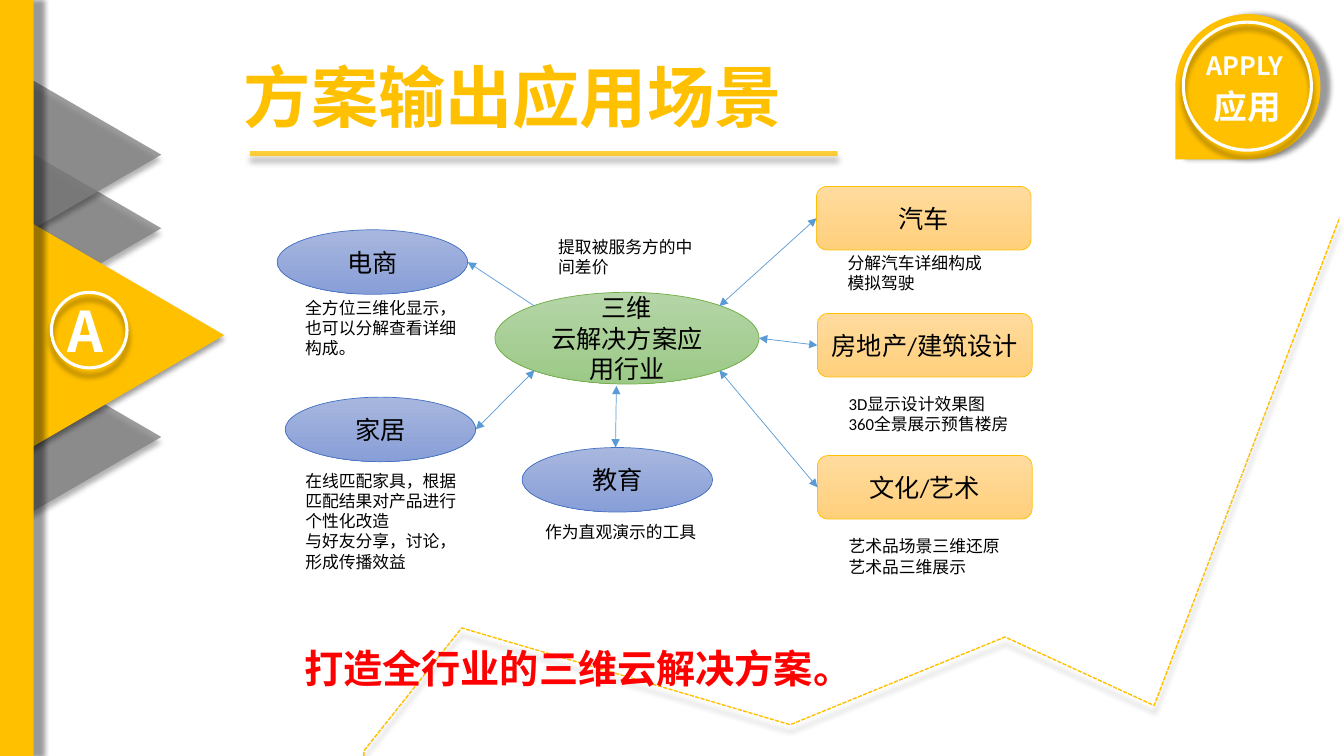
from lxml import etree
from pptx import Presentation
from pptx.dml.color import RGBColor
from pptx.enum.dml import MSO_LINE
from pptx.enum.shapes import MSO_CONNECTOR, MSO_SHAPE
from pptx.enum.text import MSO_ANCHOR, MSO_AUTO_SIZE, PP_ALIGN
from pptx.oxml.ns import qn
from pptx.util import Emu, Inches, Pt

ELLIPSE, RECTANGLE = MSO_SHAPE.OVAL, MSO_SHAPE.RECTANGLE
ROUNDED, TRIANGLE, TEAR = MSO_SHAPE.ROUNDED_RECTANGLE, MSO_SHAPE.ISOSCELES_TRIANGLE, MSO_SHAPE.TEAR
STRAIGHT, DASH = MSO_CONNECTOR.STRAIGHT, MSO_LINE.SQUARE_DOT
TOP, MIDDLE, NO_FIT = MSO_ANCHOR.TOP, MSO_ANCHOR.MIDDLE, MSO_AUTO_SIZE.NONE
LEFT, CENTER = PP_ALIGN.LEFT, PP_ALIGN.CENTER
LEFT_SIDE = 1

COLORS = {"gold": "FFC000", "gray": "808080", "white": "FFFFFF", "black": "000000",
          "red": "FF0000", "arrow": "5B9BD5"}
HEADING_FONT, BODY_FONT = "Noto Sans CJK SC", "Calibri"

# Content; places and sizes are in cells of a grid 40 columns wide and 22.5 rows high
COLUMNS, ROWS = 40, 22.5
TITLE = ("方案输出应用场景", (6.96, 1.5, 16.77, 2.73), 48, "gold")
HEADINGS = [
    ("APPLY", (35.61, 1.35, 3.03, 1.2), 18, "white"),
    ("应用", (35.82, 2.4, 2.64, 1.5), 24, "white"),
    ("A", (1.71, 8.67, 1.86, 2.31), 40, "white"),
    ("打造全行业的三维云解决方案。", (8.76, 19.02, 19.11, 3.12), 28, "red"),
]
# Shape, place, rotation, fill, opacity, shadow distance, shadow direction
GRAY_ARROW_TOPS = [10.92, 4.71, 2.52]
DECORATIONS = [
    *[(TRIANGLE, (0.3, top, 4.83, 4.17), 90, "gray", 77, 4, 90) for top in GRAY_ARROW_TOPS],
    (TEAR, (34.98, 0.42, 4.32, 4.32), 180, "gold", 100, 7, 0),
    (RECTANGLE, (7.44, 4.5, 17.49, 0.15), 0, "gold", 77, 4, 90),
    (TRIANGLE, (0.15, 6.96, 7.02, 6.03), 90, "gold", 100, 3, 90),
    (RECTANGLE, (0, 0, 1, ROWS), 0, "gold", 100, 7, 0),
]
RINGS = [(35.22, 0.66, 3.81, 3.81), (1.53, 8.7, 2.25, 2.25)]
ZIGZAG = [(10.83, 22.5), (10.83, 22.35), (13.74, 18.69), (23.52, 21.57),
          (29.91, 18.96), (34.35, 21), (39.87, 6.48)]
# Shape, size, gradient from and to, outline
NODE_KINDS = {
    "hub": (ELLIPSE, (7.86, 2.73), "B5D5A7", "9CC987", "70AD47"),
    "service": (ELLIPSE, (5.67, 1.92), "A8B7DF", "889ED7", "4472C4"),
    "industry": (ROUNDED, (6.39, 1.89), "FFDB9E", "FFD07C", "FFC000"),
}
NODES = {
    "hub": ("hub", (14.73, 8.7), ["三维", "云解决方案应用行业"]),
    "car": ("industry", (24.3, 5.55), ["汽车"]),
    "building": ("industry", (24.33, 9.33), ["房地产/建筑设计"]),
    "culture": ("industry", (24.33, 13.56), ["文化/艺术"]),
    "shop": ("service", (8.25, 6.84), ["电商"]),
    "home": ("service", (8.49, 11.82), ["家居"]),
    "school": ("service", (15.54, 13.32), ["教育"]),
}
NOTES = [
    ((8.79, 8.7, 5.4, 2.73), ["全方位三维化显示，也可以分解查看详细构成。"]),
    ((24.93, 7.38, 4.65, 1.5), ["分解汽车详细构成", "模拟驾驶"]),
    ((24.96, 11.58, 5.43, 1.5), ["3D显示设计效果图", "360全景展示预售楼房"]),
    ((16.32, 6.9, 4.68, 1.5), ["提取被服务方的中间差价"]),
    ((24.96, 15.81, 5.16, 2.13), ["艺术品场景三维还原", "艺术品三维展示"]),
    ((15.93, 15.39, 5.16, 1.5), ["作为直观演示的工具"]),
    ((8.79, 13.86, 5.13, 4.53),
     ["在线匹配家具，根据匹配结果对产品进行个性化改造", "与好友分享，讨论，形成传播效益"]),
]
# Node, its end point, hub end point (both as shares of the shape), arrow also at the hub
NEAR, FAR = 0.15, 0.85
ARROWS = [
    ("shop", (1, 0.5), (NEAR, NEAR), False),
    ("home", (1, 0.5), (NEAR, FAR), True),
    ("building", (0, 0.5), (1, 0.5), True),
    ("car", (0, 0.5), (FAR, NEAR), True),
    ("culture", (0, 0.5), (FAR, FAR), True),
    ("school", (0.49, 0), (0.46, 1.02), True),
]

presentation = Presentation()
presentation.slide_width, presentation.slide_height = Inches(13.333), Inches(7.5)
CELL_WIDTH = presentation.slide_width / COLUMNS
CELL_HEIGHT = presentation.slide_height / ROWS
slide = presentation.slides.add_slide(presentation.slide_layouts[5])
shapes = slide.shapes


def cells(*values):
    """Turn alternating columns and rows into lengths."""
    return [Emu(round(value * (CELL_HEIGHT if index % 2 else CELL_WIDTH)))
            for index, value in enumerate(values)]


def rgb(name):
    return RGBColor.from_string(COLORS.get(name, name))


def write(shape, lines, size, color, font, bold=False, align=LEFT, anchor=TOP):
    frame = shape.text_frame
    frame.auto_size, frame.word_wrap, frame.vertical_anchor = NO_FIT, True, anchor
    frame.text = "\n".join(lines)
    for paragraph in frame.paragraphs:
        paragraph.alignment = align
        for run in paragraph.runs:
            for key, value in {"size": Pt(size), "bold": bold, "name": font}.items():
                setattr(run.font, key, value)
            run.font.color.rgb = rgb(color)
            east_asian = etree.Element(qn("a:ea"), typeface=HEADING_FONT)
            run.font._element.find(qn("a:latin")).addnext(east_asian)


def outline(shape, color, width):
    shape.line.color.rgb = rgb(color)
    shape.line.width = Pt(width)


def cast_shadow(shape, distance, direction):
    shape.shadow.inherit = False
    effects = shape._element.spPr.find(qn("a:effectLst"))
    shadow = etree.SubElement(effects, qn("a:outerShdw"), blurRad=str(Pt(4)), dist=str(Pt(distance)),
                              dir=str(direction * 60000), algn="ctr", rotWithShape="0")
    color = etree.SubElement(shadow, qn("a:srgbClr"), val=COLORS["black"])
    etree.SubElement(color, qn("a:alpha"), val="40000")


# Title
write(shapes.title, [TITLE[0]], TITLE[2], TITLE[3], HEADING_FONT, bold=True)
for side, length in zip(("left", "top", "width", "height"), cells(*TITLE[1])):
    setattr(shapes.title, side, length)

# Side bar, arrows, badge and title underline
for kind, place, rotation, color, opacity, distance, direction in DECORATIONS:
    decoration = shapes.add_shape(kind, *cells(*place))
    decoration.rotation = rotation
    decoration.fill.solid()
    decoration.fill.fore_color.rgb = rgb(color)
    decoration.line.fill.background()
    if opacity < 100:
        fill_color = decoration._element.spPr.find(qn("a:solidFill"))[0]
        etree.SubElement(fill_color, qn("a:alpha"), val=str(opacity * 1000))
    cast_shadow(decoration, distance, direction)

# Dashed zigzag
points = [cells(*point) for point in ZIGZAG]
builder = shapes.build_freeform(*points[0])
builder.add_line_segments(points[1:], close=False)
zigzag = builder.convert_to_shape()
zigzag.fill.background()
outline(zigzag, "gold", 1)
zigzag.line.dash_style = DASH
cast_shadow(zigzag, 5, 90)

# White rings and bold headings
for place in RINGS:
    ring = shapes.add_shape(ELLIPSE, *cells(*place))
    ring.fill.background()
    outline(ring, "white", 2.25)
    cast_shadow(ring, 5, 90)
for text, place, size, color in HEADINGS:
    write(shapes.add_textbox(*cells(*place)), [text], size, color, HEADING_FONT, bold=True)

# Diagram nodes and notes
node_shapes = {}
for name, (kind, position, lines) in NODES.items():
    geometry, size, first, last, edge = NODE_KINDS[kind]
    node = node_shapes[name] = shapes.add_shape(geometry, *cells(*position, *size))
    node.shadow.inherit = False
    node.fill.gradient()
    node.fill.gradient_angle = 270
    for stop, color in zip(node.fill.gradient_stops, (first, last)):
        stop.color.rgb = rgb(color)
    outline(node, edge, 0.5)
    write(node, lines, 18, "black", BODY_FONT, align=CENTER, anchor=MIDDLE)
for place, lines in NOTES:
    write(shapes.add_textbox(*cells(*place)), lines, 12, "black", BODY_FONT)


def point_on(shape, share):
    return (Emu(round(shape.left + share[0] * shape.width)),
            Emu(round(shape.top + share[1] * shape.height)))


# Arrows between the hub and the nodes
for name, node_share, hub_share, both_ends in ARROWS:
    node = node_shapes[name]
    arrow = shapes.add_connector(STRAIGHT, *point_on(node_shapes["hub"], hub_share),
                                 *point_on(node, node_share))
    if NODES[name][0] == "industry":
        arrow.end_connect(node, LEFT_SIDE)
    outline(arrow, "arrow", 0.5)
    properties = arrow._element.spPr
    for end in ("a:headEnd", "a:tailEnd") if both_ends else ("a:tailEnd",):
        etree.SubElement(properties.find(qn("a:ln")), qn(end), type="triangle")
    etree.SubElement(properties, qn("a:effectLst"))

presentation.save("out.pptx")
